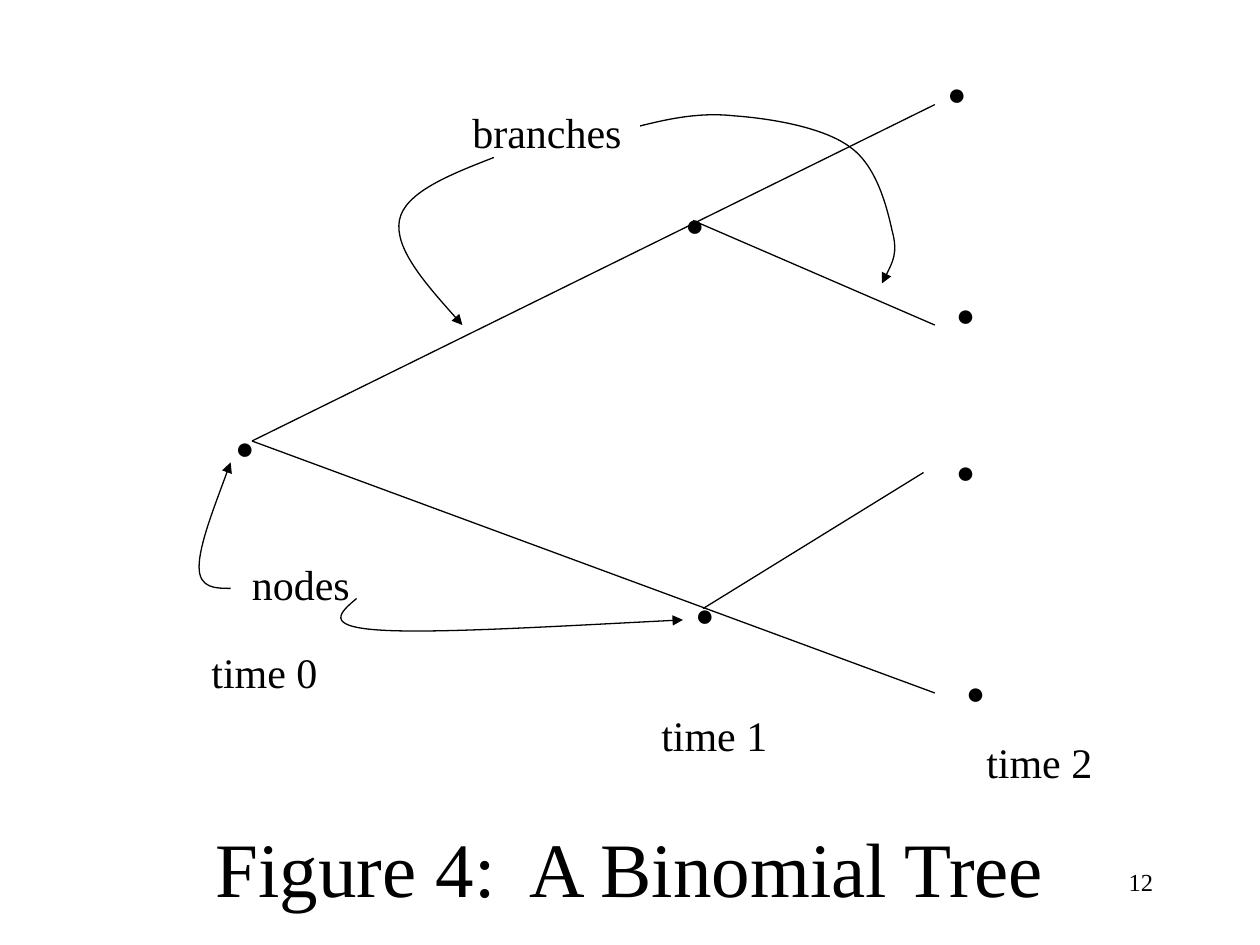
from dataclasses import dataclass

from lxml import etree
from pptx import Presentation
from pptx.dml.color import RGBColor
from pptx.enum.shapes import MSO_CONNECTOR
from pptx.enum.text import MSO_ANCHOR, MSO_AUTO_SIZE, PP_ALIGN
from pptx.oxml.ns import qn
from pptx.util import Inches, Pt

STRAIGHT = MSO_CONNECTOR.STRAIGHT
LEFT, CENTER, RIGHT = PP_ALIGN.LEFT, PP_ALIGN.CENTER, PP_ALIGN.RIGHT
TOP, MIDDLE = MSO_ANCHOR.TOP, MSO_ANCHOR.MIDDLE
GROW, FIXED = MSO_AUTO_SIZE.SHAPE_TO_FIT_TEXT, MSO_AUTO_SIZE.NONE


@dataclass(frozen=True)
class Theme:
    ink: RGBColor = RGBColor(0, 0, 0)
    paper: RGBColor = RGBColor(255, 255, 255)
    serif: str = "Times New Roman"
    sans: str = "Arial"
    title: Pt = Pt(44)
    label: Pt = Pt(24)
    node: Pt = Pt(18)
    number: Pt = Pt(14)
    line: Pt = Pt(0.75)


THEME = Theme()

# Tree parts, in inches from the corner of the tree's box
BRANCHES = [
    ((0.5, 3), (5.92, 0.33)),
    ((0.5, 3), (5.92, 5)),
    ((4.08, 4.33), (5.83, 3.25)),
    ((4, 1.25), (5.92, 2.08)),
]
NODES = [(0.27, 2.85), (3.84, 1.08), (3.92, 4.17),
         (5.92, 0.04), (5.99, 1.79), (5.99, 3.04), (6.07, 4.79)]
NODE_SIZE = (0.39, 0.4)
LABELS = [
    ("branches", (2.15, 0.3, 1.42, 0.5)),
    ("nodes", (0.4, 3.88, 1, 0.5)),
    ("time 0", (0.08, 4.58, 1.17, 0.5)),
    ("time 1", (3.65, 5.08, 1.06, 0.5)),
    ("time 2", (6.23, 5.3, 1.06, 0.5)),
]
# A start point, then three Bezier points for each curve segment
POINTERS = [
    [(3.58, 0.5), (3.82, 0.44), (4.06, 0.39), (4.33, 0.42),
     (4.61, 0.44), (5.04, 0.51), (5.25, 0.67),
     (5.46, 0.82), (5.54, 1.15), (5.58, 1.33),
     (5.63, 1.51), (5.56, 1.63), (5.5, 1.75)],
    [(2.42, 0.75), (2.06, 0.89), (1.71, 1.03), (1.67, 1.25),
     (1.63, 1.47), (1.9, 1.78), (2.17, 2.08)],
    [(1.33, 4.25), (1.2, 4.36), (1.07, 4.47), (1.5, 4.5),
     (1.93, 4.53), (2.92, 4.47), (3.92, 4.42)],
    [(0.33, 4.17), (0.21, 4.17), (0.08, 4.17), (0.08, 4),
     (0.08, 3.83), (0.21, 3.5), (0.33, 3.17)],
]


def set_attrs(target, values):
    for name, value in values.items():
        setattr(target, name, value)


def write(shape, text, size, font=THEME.serif, align=LEFT, anchor=TOP,
          wrap=True, fit=FIXED):
    tf = shape.text_frame
    set_attrs(tf, {"word_wrap": wrap, "auto_size": fit,
                   "vertical_anchor": anchor})
    p = tf.paragraphs[0]
    p.alignment = align
    r = p.add_run()
    r.text = text
    set_attrs(r.font, {"name": font, "size": size})
    r.font.color.rgb = THEME.ink


def add_text(s, box, text, size, **style):
    write(s.shapes.add_textbox(*map(Inches, box)), text, size, **style)


def style_line(shape):
    shape.line.color.rgb = THEME.ink
    shape.line.width = THEME.line


def add_branch(s, start, end):
    line = s.shapes.add_connector(STRAIGHT, *map(Inches, start + end))
    style_line(line)
    etree.SubElement(line._element.spPr, qn("a:effectLst"))


def add_pointer(s, points):
    start, *rest = [tuple(map(Inches, point)) for point in points]
    builder = s.shapes.build_freeform(*start)
    builder.add_line_segments(rest, close=False)
    sp = builder.convert_to_shape()
    sp.shadow.inherit = False
    sp.fill.background()
    style_line(sp)
    # Turn each three line points into one Bezier segment
    segments = list(sp._element.iter(qn("a:lnTo")))
    outline = segments[0].getparent()
    for i in range(0, len(segments), 3):
        curve = etree.SubElement(outline, qn("a:cubicBezTo"))
        for segment in segments[i:i + 3]:
            curve.append(segment[0])
            outline.remove(segment)
    etree.SubElement(sp._element.spPr.get_or_add_ln(), qn("a:tailEnd"),
                     type="triangle")


def add_tree(s, left, top):
    def shift(point):
        return (left + point[0], top + point[1])

    # Branches
    for start, end in BRANCHES:
        add_branch(s, shift(start), shift(end))
    # Nodes
    for node in NODES:
        add_text(s, shift(node) + NODE_SIZE, "●", THEME.node,
                 font=THEME.sans, wrap=False, fit=GROW)
    # Curved pointers from the labels
    for points in POINTERS:
        add_pointer(s, [shift(point) for point in points])
    # Labels
    for text, box in LABELS:
        add_text(s, shift(box) + box[2:], text, THEME.label, fit=GROW)


def add_caption(s, left, top, width, height):
    title = s.shapes.title
    set_attrs(title, {"left": Inches(left), "top": Inches(top),
                      "width": Inches(width), "height": Inches(height)})
    write(title, "Figure 4:  A Binomial Tree", THEME.title,
          align=CENTER, anchor=MIDDLE)


def main():
    prs = Presentation()
    set_attrs(prs, {"slide_width": Inches(10), "slide_height": Inches(7.5)})
    s = prs.slides.add_slide(prs.slide_layouts[5])
    s.background.fill.solid()
    s.background.fill.fore_color.rgb = THEME.paper
    add_caption(s, 0.75, 6.25, 8.5, 1.25)
    add_tree(s, 1.5, 0.5)
    # Slide number
    add_text(s, (7.17, 6.83, 2.08, 0.5), "12", THEME.number, align=RIGHT)
    prs.save("out.pptx")


if __name__ == "__main__":
    main()
